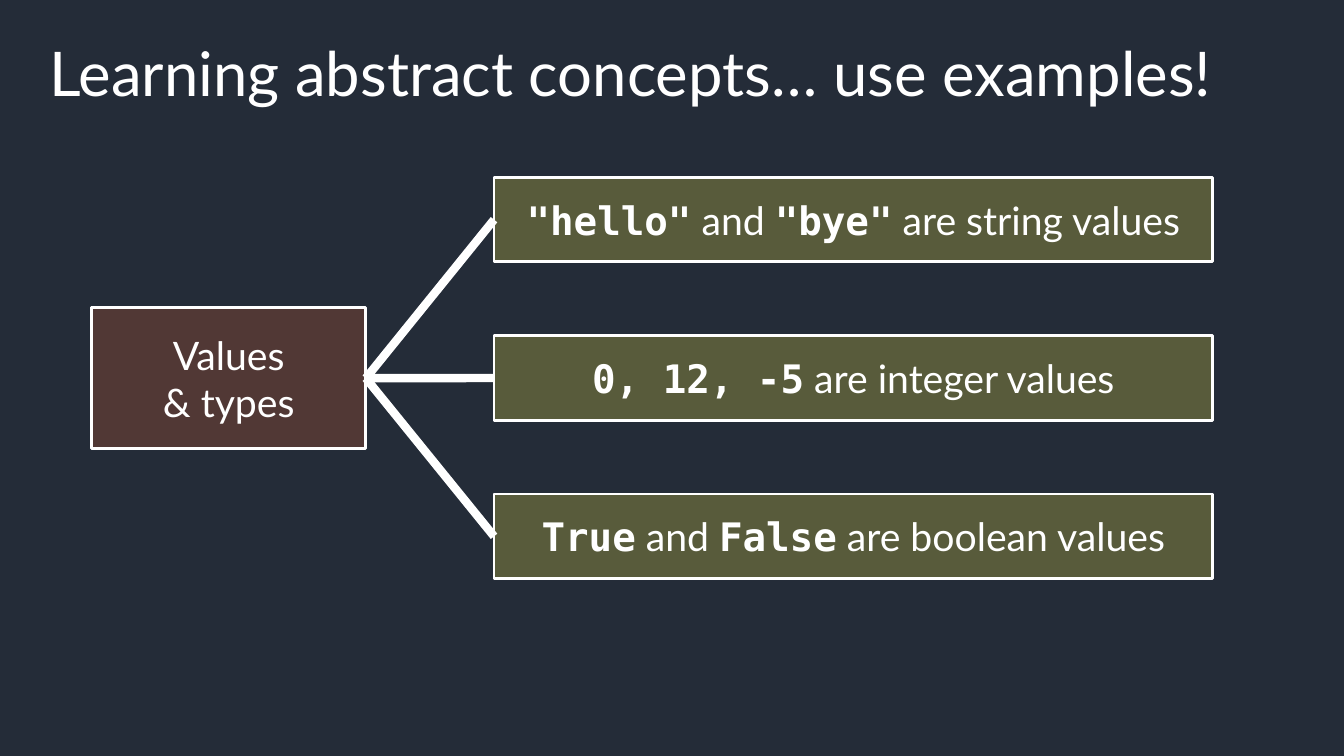
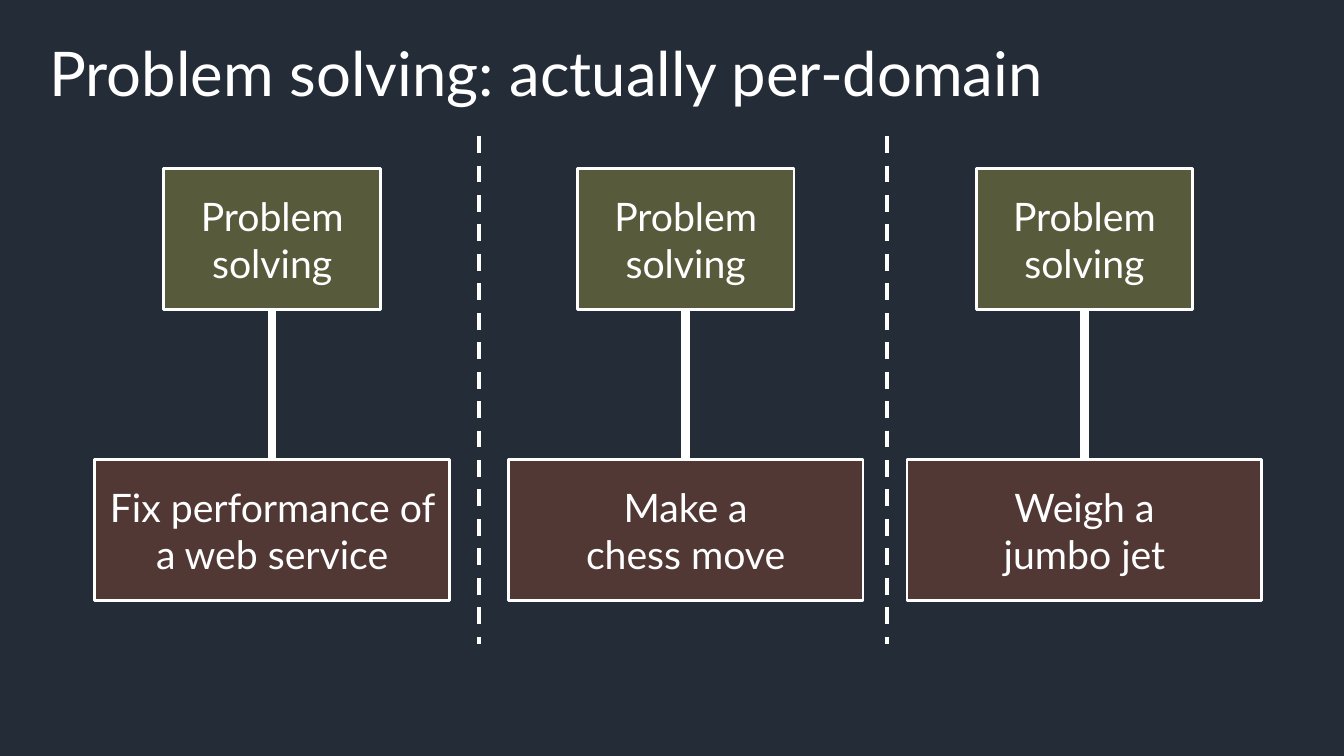
from dataclasses import dataclass

from lxml import etree
from pptx import Presentation
from pptx.dml.color import RGBColor
from pptx.enum.dml import MSO_LINE
from pptx.enum.shapes import MSO_CONNECTOR, MSO_SHAPE
from pptx.enum.text import MSO_ANCHOR, PP_ALIGN
from pptx.oxml.ns import qn
from pptx.util import Cm, Pt

RECTANGLE = MSO_SHAPE.RECTANGLE
STRAIGHT = MSO_CONNECTOR.STRAIGHT
DASH = MSO_LINE.DASH
TOP, MIDDLE = MSO_ANCHOR.TOP, MSO_ANCHOR.MIDDLE
LEFT, CENTER = PP_ALIGN.LEFT, PP_ALIGN.CENTER
TOP_SIDE, LEFT_SIDE, BOTTOM_SIDE, RIGHT_SIDE = range(4)
BLANK_LAYOUT = 6


@dataclass(frozen=True)
class Theme:
    background: RGBColor = RGBColor.from_string("242C38")
    ink: RGBColor = RGBColor.from_string("FFFFFF")
    brown: RGBColor = RGBColor.from_string("513835")
    olive: RGBColor = RGBColor.from_string("585B3B")
    text_font: str = "Lato"
    code_font: str = "DejaVu Sans Mono"
    title_size: Pt = Pt(44)
    box_size: Pt = Pt(28)
    outline: Pt = Pt(2)
    divider: Pt = Pt(3)
    link: Pt = Pt(6)


def apply(target, values):
    for attribute, value in values.items():
        setattr(target, attribute, value)


class Deck:
    def __init__(self, theme):
        self.theme = theme
        self.presentation = Presentation()
        apply(self.presentation, {"slide_width": Cm(33.87), "slide_height": Cm(19.05)})
        backdrop = self.presentation.slide_master.background.fill
        backdrop.solid()
        backdrop.fore_color.rgb = theme.background
        self.slide = None

    def new_slide(self, title):
        layout = self.presentation.slide_layouts[BLANK_LAYOUT]
        self.slide = self.presentation.slides.add_slide(layout)
        heading = self.slide.shapes.add_textbox(Cm(1.24), Cm(1.09), Cm(31.4), Cm(3.18))
        margins = dict.fromkeys(
            ("margin_left", "margin_top", "margin_right", "margin_bottom"), 0)
        apply(heading.text_frame, {"word_wrap": True, "vertical_anchor": TOP, **margins})
        self.add_lines(heading, [title], self.theme.title_size,
                       {"alignment": LEFT, "line_spacing": 0.9})

    def add_lines(self, shape, lines, size, paragraph_format):
        """Add one paragraph per line; backticks in a line enclose code."""
        frame = shape.text_frame
        for number, line in enumerate(lines):
            paragraph = frame.add_paragraph() if number else frame.paragraphs[0]
            apply(paragraph, paragraph_format)
            for position, part in enumerate(line.split("`")):
                if not part:
                    continue
                is_code = position % 2 == 1
                run = paragraph.add_run()
                run.text = part
                font_name = self.theme.code_font if is_code else self.theme.text_font
                apply(run.font, {"name": font_name, "size": size, "bold": is_code})
                run.font.color.rgb = self.theme.ink

    def box(self, left, top, width, height, lines, color):
        box = self.slide.shapes.add_shape(
            RECTANGLE, Cm(left), Cm(top), Cm(width), Cm(height))
        box.shadow.inherit = False
        box.fill.solid()
        box.fill.fore_color.rgb = color
        box.line.color.rgb = self.theme.ink
        box.line.width = self.theme.outline
        apply(box.text_frame, {"word_wrap": True, "vertical_anchor": MIDDLE})
        self.add_lines(box, lines, self.theme.box_size, {"alignment": CENTER})
        return box

    def line(self, start, end, width, dash=None):
        line = self.slide.shapes.add_connector(STRAIGHT, *map(Cm, start + end))
        line.line.color.rgb = self.theme.ink
        apply(line.line, {"width": width, "dash_style": dash})
        etree.SubElement(line._element.spPr, qn("a:effectLst"))
        return line

    def link(self, source, source_side, target, target_side):
        link = self.line((0, 0), (0, 0), self.theme.link)
        link.begin_connect(source, source_side)
        link.end_connect(target, target_side)

    def divider(self, x, top, bottom):
        self.line((x, top), (x, bottom), self.theme.divider, DASH)


def add_concept_slide(deck):
    deck.new_slide("Learning abstract concepts… use examples!")
    concept = deck.box(2.31, 7.75, 6.91, 3.56, ["Values", "& types"], deck.theme.brown)
    examples = [
        '`"hello"` and `"bye"` are string values',
        "`0, 12, -5` are integer values",
        "`True` and `False` are boolean values",
    ]
    first_top, step = 4.47, 3.99
    for row, text in enumerate(examples):
        example = deck.box(12.45, first_top + row * step, 18.11, 2.13,
                           [text], deck.theme.olive)
        deck.link(concept, RIGHT_SIDE, example, LEFT_SIDE)


def add_domain_slide(deck):
    deck.new_slide("Problem solving: actually per-domain")
    skill_width, task_width, height = 5.46, 8.94, 3.56
    domains = [
        (6.86, ["Fix performance of a web service"]),
        (17.28, ["Make a", "chess move"]),
        (27.33, ["Weigh a", "jumbo jet"]),
    ]
    for center, task_lines in domains:
        task = deck.box(center - task_width / 2, 11.58, task_width, height,
                        task_lines, deck.theme.brown)
        skill = deck.box(center - skill_width / 2, 4.24, skill_width, height,
                         ["Problem", "solving"], deck.theme.olive)
        deck.link(skill, BOTTOM_SIDE, task, TOP_SIDE)
    for x in (12.07, 22.35):
        deck.divider(x, 3.43, 16.22)


def main():
    deck = Deck(Theme())
    add_concept_slide(deck)
    add_domain_slide(deck)
    deck.presentation.save("out.pptx")


if __name__ == "__main__":
    main()
